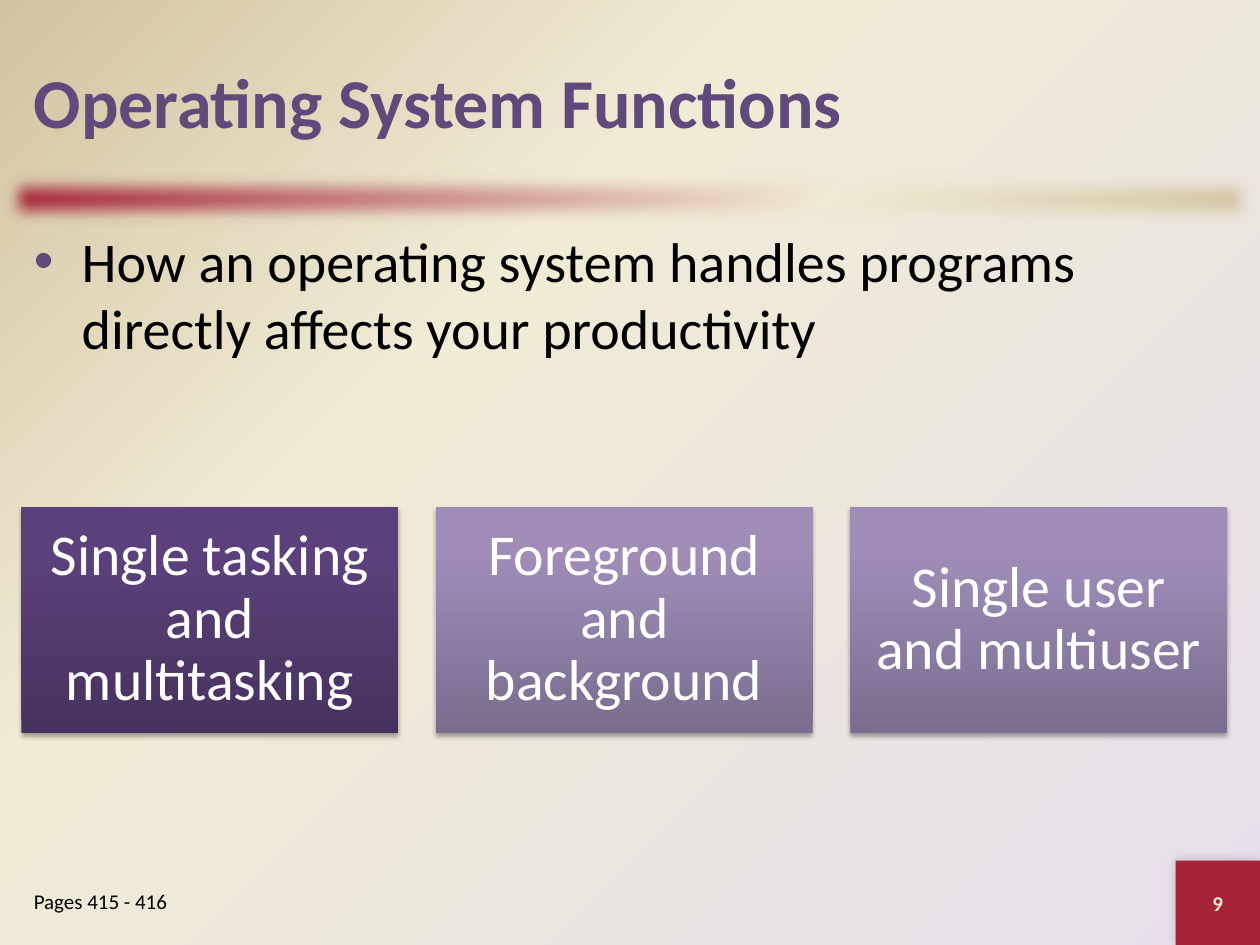
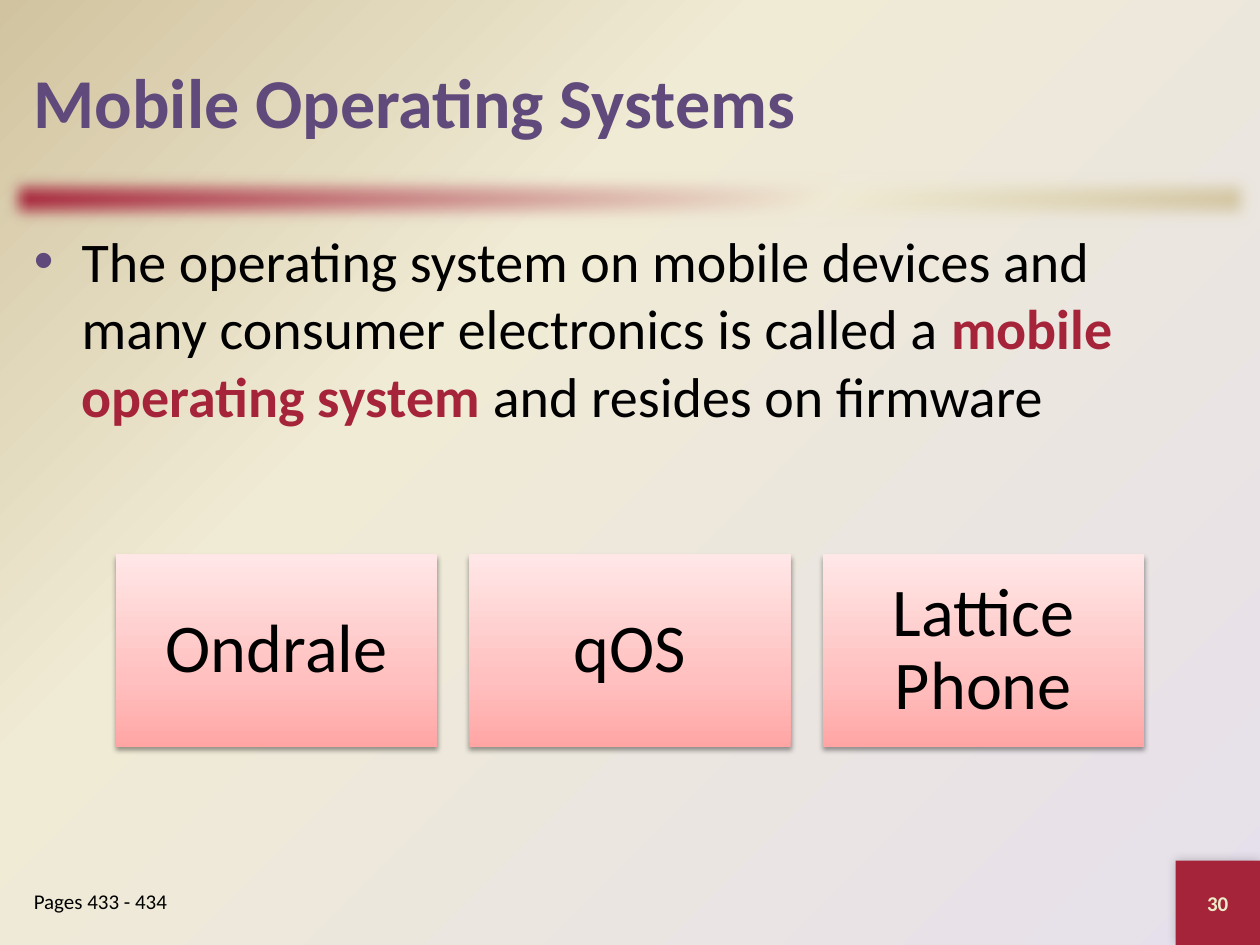
from lxml.etree import SubElement
from pptx import Presentation
from pptx.dml.color import RGBColor
from pptx.enum.shapes import MSO_SHAPE
from pptx.enum.text import MSO_ANCHOR, PP_ALIGN
from pptx.oxml.ns import qn
from pptx.util import Inches, Pt

COLORS = {
    "lavender": "E6E0EC", "cream": "F0EBD5", "sand": "D1C39F",
    "crimson": "A52439", "purple": "604A7B", "number": "EEEBCA",
    "black": "000000", "white": "FFFFFF",
}
BACKGROUND_STOPS = [(0, COLORS["lavender"]), (65, COLORS["cream"]), (100, COLORS["sand"])]
BAND_STOPS = [(0, COLORS["crimson"]), (65, COLORS["cream"]), (100, COLORS["sand"])]
CARD_STOPS = {
    "dark": [(0, "46325F"), (80, "5B417B"), (100, "5B407C")],
    "light": [(0, "7A6D8E"), (80, "9F8DB8"), (100, "9F8DBA")],
    "pink": [(0, "FFA6A5"), (35, "FFC0BF"), (100, "FFE7E7")],
}

FORMATS = {
    "title": {"size": Pt(40), "bold": True, "color": "purple"},
    "body": {"size": Pt(32), "bold": False, "color": "black"},
    "term": {"size": Pt(32), "bold": True, "color": "crimson"},
    "pages": {"size": Pt(12), "bold": False, "color": "black"},
    "number": {"size": Pt(12), "bold": True, "color": "number"},
    "function": {"size": Pt(33), "bold": False, "color": "white"},
    "system": {"size": Pt(39), "bold": False, "color": "black"},
}

SLIDES = [
    {
        "title": "Operating System Functions",
        "body": [("How an operating system handles programs directly affects "
                  "your productivity", "body")],
        "pages": "Pages 415 - 416",
        "number": "9",
        "cards": [("Single tasking and multitasking", "dark"),
                  ("Foreground and background", "light"),
                  ("Single user and multiuser", "light")],
        "row": {"left": 0.17, "top": 4.02, "width": 2.99, "margin": 0.14,
                "style": "function", "opacity": 35},
    },
    {
        "title": "Mobile Operating Systems",
        "body": [("The operating system on mobile devices and many consumer "
                  "electronics is called a ", "body"),
                 ("mobile operating system ", "term"),
                 ("and resides on firmware", "body")],
        "pages": "Pages 433 - 434",
        "number": "30",
        "cards": [("Ondrale", "pink"), ("qOS", "pink"), ("Lattice Phone", "pink")],
        "row": {"left": 0.92, "top": 4.4, "width": 2.55, "margin": 0.16,
                "style": "system", "opacity": 38},
    },
]
CARD_GAP = 0.1      # share of the card width
CARD_HEIGHT = 0.6   # share of the card width


def add_element(parent, tag, **attributes):
    return SubElement(parent, qn(tag), {key: str(value) for key, value in attributes.items()})


def fill_gradient(fill, owner, stops, angle=None):
    """Fill linearly at a clockwise angle, or radially from the lower right corner."""
    fill.gradient()
    gradient = next(owner.iter(qn("a:gradFill")))
    for child in list(gradient):
        gradient.remove(child)
    stop_list = add_element(gradient, "a:gsLst")
    for position, color in stops:
        stop = add_element(stop_list, "a:gs", pos=position * 1000)
        add_element(stop, "a:srgbClr", val=color)
    if angle is None:
        circle = add_element(gradient, "a:path", path="circle")
        add_element(circle, "a:fillToRect", l=100000, t=100000)
    else:
        add_element(gradient, "a:lin", ang=angle * 60000, scaled=0)


def add_rectangle(slide, *place):
    shape = slide.shapes.add_shape(MSO_SHAPE.RECTANGLE, *map(Inches, place))
    shape.line.fill.background()
    shape.shadow.inherit = False
    return shape


def add_effect(shape, tag, **attributes):
    effects = next(shape.element.iter(qn("a:effectLst")))
    return add_element(effects, tag, **attributes)


def add_shadow(shape, opacity, blur, distance, direction):
    shadow = add_effect(shape, "a:outerShdw", blurRad=Pt(blur), dist=Pt(distance),
                        dir=direction * 60000, rotWithShape=0)
    color = add_element(shadow, "a:srgbClr", val=COLORS["black"])
    add_element(color, "a:alpha", val=opacity * 1000)


def write(shape, spans, anchor=MSO_ANCHOR.TOP, alignment=PP_ALIGN.LEFT):
    frame = shape.text_frame
    frame.word_wrap = True
    frame.vertical_anchor = anchor
    para = frame.paragraphs[0]
    para.alignment = alignment
    for text, style in spans:
        span = para.add_run()
        span.text = text
        span.font.name = "Calibri"
        for name, value in FORMATS[style].items():
            if name == "color":
                span.font.color.rgb = RGBColor.from_string(COLORS[value])
            else:
                setattr(span.font, name, value)
    return para


def add_text(slide, place, spans, anchor=MSO_ANCHOR.TOP):
    return write(slide.shapes.add_textbox(*map(Inches, place)), spans, anchor)


def add_bullet(para):
    properties = para._p.get_or_add_pPr()
    properties.set("marL", str(Inches(0.38)))
    properties.set("indent", str(-Inches(0.38)))
    bullet_color = add_element(properties, "a:buClr")
    add_element(bullet_color, "a:srgbClr", val=COLORS["purple"])
    add_element(properties, "a:buFont", typeface="Arial")
    add_element(properties, "a:buChar", char="•")


def add_frame(slide, content):
    """Add the background, band, title, page reference and slide number."""
    fill_gradient(slide.background.fill, slide.element, BACKGROUND_STOPS)
    band = add_rectangle(slide, 0, 1.33, 10, 0.5)
    fill_gradient(band.fill, band.element, BAND_STOPS, 45)
    add_effect(band, "a:softEdge", rad=Pt(10))
    corner = add_rectangle(slide, 9.33, 6.83, 0.67, 0.67)
    corner.fill.solid()
    corner.fill.fore_color.rgb = RGBColor.from_string(COLORS["crimson"])
    add_shadow(corner, 20, 6, 0, 225)
    write(corner, [(content["number"], "number")], MSO_ANCHOR.MIDDLE, PP_ALIGN.CENTER)
    add_text(slide, (0.17, 0.17, 9.67, 1.25), [(content["title"], "title")], MSO_ANCHOR.MIDDLE)
    add_text(slide, (0.17, 7, 1.83, 0.5), [(content["pages"], "pages")])


def add_cards(slide, cards, row):
    width = row["width"]
    for index, (label, tone) in enumerate(cards):
        left = row["left"] + index * width * (1 + CARD_GAP)
        card = add_rectangle(slide, left, row["top"], width, width * CARD_HEIGHT)
        fill_gradient(card.fill, card.element, CARD_STOPS[tone], 270)
        add_shadow(card, row["opacity"], 3.1, 1.8, 90)
        for side in ("left", "top", "right", "bottom"):
            setattr(card.text_frame, f"margin_{side}", Inches(row["margin"]))
        para = write(card, [(label, row["style"])], MSO_ANCHOR.MIDDLE, PP_ALIGN.CENTER)
        para.line_spacing = 0.9


def main():
    deck = Presentation()
    deck.slide_width, deck.slide_height = Inches(10), Inches(7.5)
    for content in SLIDES:
        slide = deck.slides.add_slide(deck.slide_layouts[6])
        add_frame(slide, content)
        add_bullet(add_text(slide, (0.17, 1.75, 9.67, 5.08), content["body"]))
        add_cards(slide, content["cards"], content["row"])
    deck.save("out.pptx")


if __name__ == "__main__":
    main()
